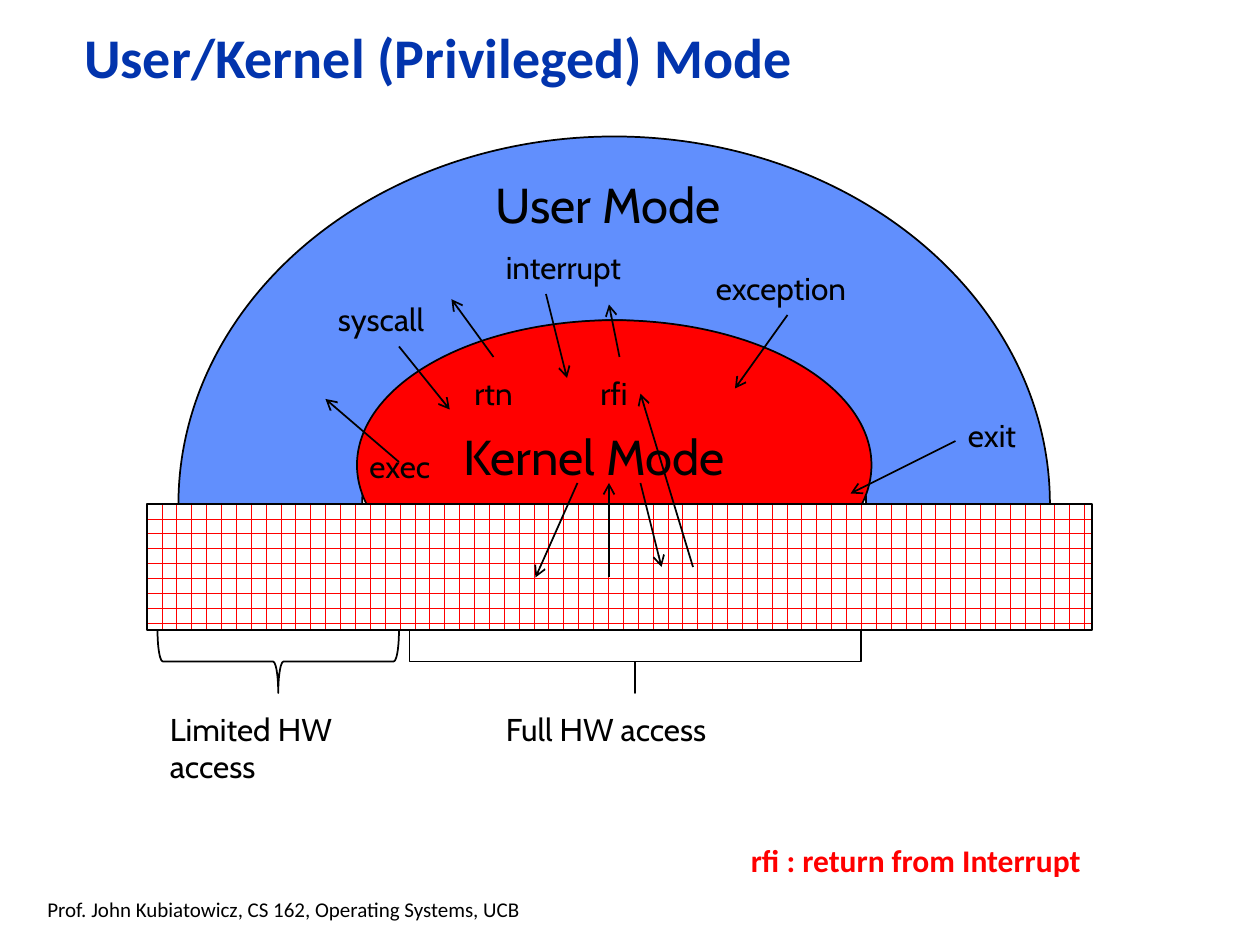
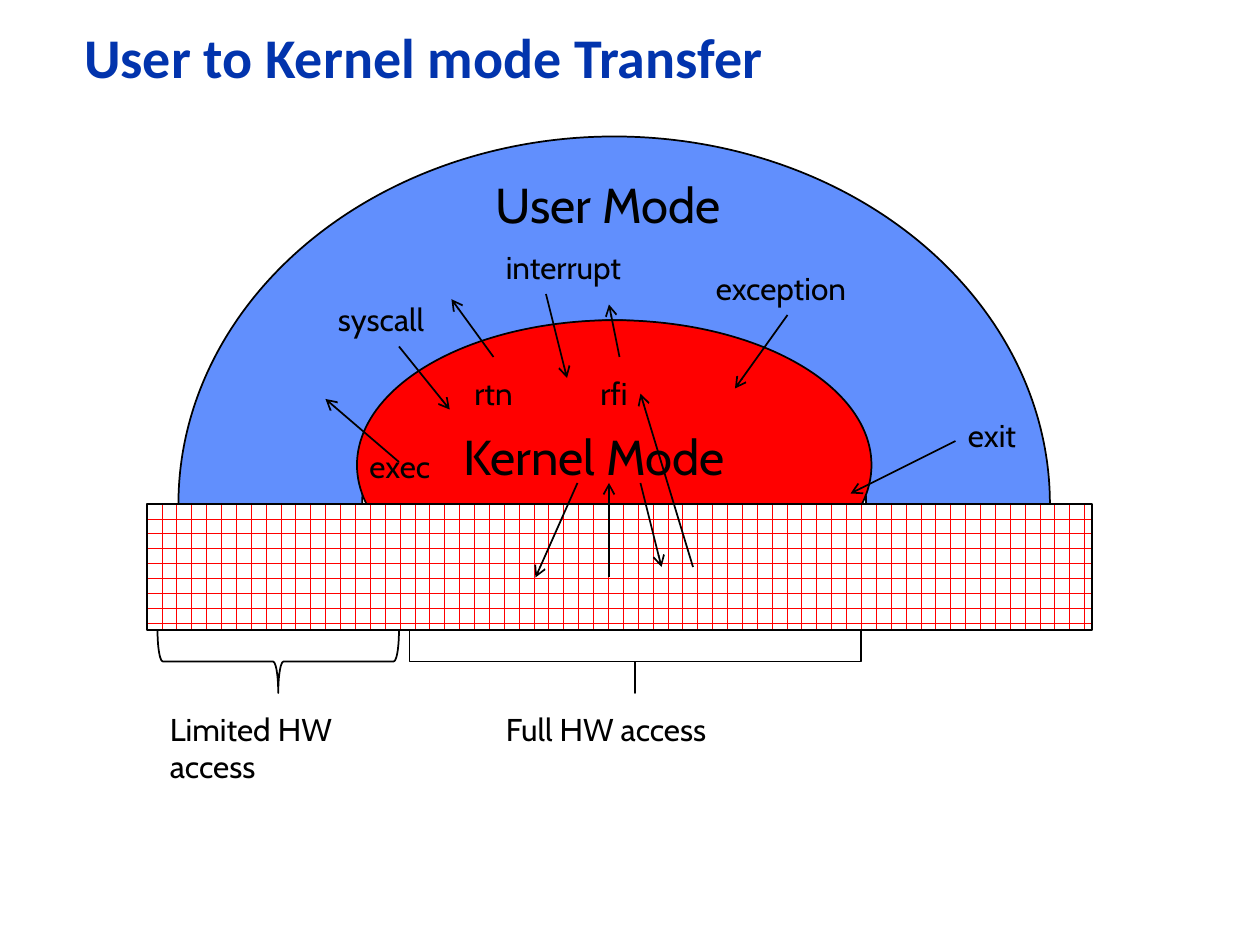
from lxml.etree import SubElement
from pptx import Presentation
from pptx.dml.color import RGBColor
from pptx.enum.dml import MSO_PATTERN
from pptx.enum.shapes import MSO_CONNECTOR, MSO_SHAPE
from pptx.enum.text import MSO_ANCHOR, MSO_AUTO_SIZE, PP_ALIGN
from pptx.oxml.ns import qn
from pptx.util import Pt

BLACK = RGBColor(0x00, 0x00, 0x00)
WHITE = RGBColor(0xFF, 0xFF, 0xFF)
RED = RGBColor(0xFF, 0x00, 0x00)
USER_BLUE = RGBColor(0x61, 0x8F, 0xFD)
TITLE_BLUE = RGBColor(0x02, 0x34, 0xAD)

DIAGRAM_FONT = "Cabin"
SLIDE_FONT = "Calibri"
LABEL_HEIGHT = 29
HARDWARE_BOTTOM = 360
BRACE_DEPTH = 36

MODES = [("User Mode", 276, 96, 144), ("Kernel Mode", 258, 240, 163.5)]

LABELS = [
    ("exec", 204, 252, 49),
    ("syscall", 186, 168, 72),
    ("exit", 546, 234, 42.5),
    ("rtn", 264, 210, 37.5),
    ("interrupt", 282, 138, 102),
    ("rfi", 336, 210, 30),
    ("exception", 402, 150, 102),
    ("Full HW access", 282, 402, 129),
]

ARROWS = [
    (228, 264, 186, 228),
    (228, 198, 257, 234),
    (546, 252, 486, 282),
    (282, 204, 258, 171),
    (312, 168, 324, 216),
    (354, 204, 348, 174),
    (330, 276, 306, 330),
    (348, 330, 348, 276),
    (366, 276, 378, 324),
    (396, 324, 366, 225),
    (450, 180, 420, 222),
]


def add_text(s, text, left, top, width, height=LABEL_HEIGHT, size=18, font=DIAGRAM_FONT,
             color=BLACK, bold=False, wrap=False, grow=True, anchor=MSO_ANCHOR.TOP, spacing=None):
    sp = s.shapes.add_textbox(Pt(left), Pt(top), Pt(width), Pt(height))
    tf = sp.text_frame
    tf.word_wrap = wrap
    tf.auto_size = MSO_AUTO_SIZE.SHAPE_TO_FIT_TEXT if grow else MSO_AUTO_SIZE.NONE
    tf.vertical_anchor = anchor
    p = tf.paragraphs[0]
    p.alignment = PP_ALIGN.LEFT
    if spacing:
        p.line_spacing = spacing
    r = p.add_run()
    r.text = text
    r.font.name = font
    r.font.size = Pt(size)
    r.font.bold = bold
    r.font.color.rgb = color


def add_outlined(s, kind, left, top, width, height, fill=None):
    sp = s.shapes.add_shape(kind, Pt(left), Pt(top), Pt(width), Pt(height))
    sp.shadow.inherit = False
    sp.line.color.rgb = BLACK
    sp.line.width = Pt(1)
    if fill is None:
        sp.fill.background()
    else:
        sp.fill.solid()
        sp.fill.fore_color.rgb = fill
    return sp


def add_hardware(s):
    sp = add_outlined(s, MSO_SHAPE.RECTANGLE, 84, 288, 540, 72, WHITE)
    sp.fill.patterned()
    sp.fill.pattern = MSO_PATTERN.HORIZONTAL_BRICK
    sp.fill.fore_color.rgb = RED
    sp.fill.back_color.rgb = WHITE


def add_brace(s, left, right, curved=True):
    span = right - left
    sp = add_outlined(s, MSO_SHAPE.RIGHT_BRACE, (left + right - BRACE_DEPTH) / 2,
                      HARDWARE_BOTTOM + (BRACE_DEPTH - span) / 2, BRACE_DEPTH, span)
    sp.rotation = 90
    if not curved:
        sp.adjustments[0] = 0


def add_arrow(s, x1, y1, x2, y2):
    cn = s.shapes.add_connector(MSO_CONNECTOR.STRAIGHT, Pt(x1), Pt(y1), Pt(x2), Pt(y2))
    cn.line.color.rgb = BLACK
    cn.line.width = Pt(1)
    SubElement(cn.line._get_or_add_ln(), qn("a:tailEnd"), type="arrow")
    SubElement(cn._element.spPr, qn("a:effectLst"))


def add_title(s, text):
    add_text(s, text, 41, 13.5, 564, 42, size=32, font=SLIDE_FONT, color=TITLE_BLUE,
             bold=True, wrap=True, grow=False, anchor=MSO_ANCHOR.MIDDLE, spacing=0.9)


def add_mode_diagram(s):
    add_outlined(s, MSO_SHAPE.BLOCK_ARC, 102, 78, 498, 420, USER_BLUE)
    add_outlined(s, MSO_SHAPE.OVAL, 204, 183, 294, 165.5, RED)
    for text, left, top, width in MODES:
        add_text(s, text, left, top, width, 41, size=28)
    add_hardware(s)
    add_brace(s, 90, 228)
    add_brace(s, 234, 492, curved=False)
    for arrow in ARROWS:
        add_arrow(s, *arrow)
    for label in LABELS:
        add_text(s, *label)
    add_text(s, "Limited HW access", 90, 402, 151, 50, wrap=True)


def add_mode_slide(prs, title):
    s = prs.slides.add_slide(prs.slide_layouts[6])
    add_title(s, title)
    add_mode_diagram(s)
    return s


def main():
    prs = Presentation()
    prs.slide_width, prs.slide_height = Pt(720), Pt(540)
    s = add_mode_slide(prs, "User/Kernel (Privileged) Mode")
    add_text(s, "Prof. John Kubiatowicz, CS 162, Operating Systems, UCB",
             20, 509, 288, 22, size=12, font=SLIDE_FONT)
    add_text(s, "rfi : return from Interrupt", 422, 477, 205,
             font=SLIDE_FONT, color=RED, bold=True)
    add_mode_slide(prs, "User to Kernel mode Transfer")
    prs.save("out.pptx")


main()
